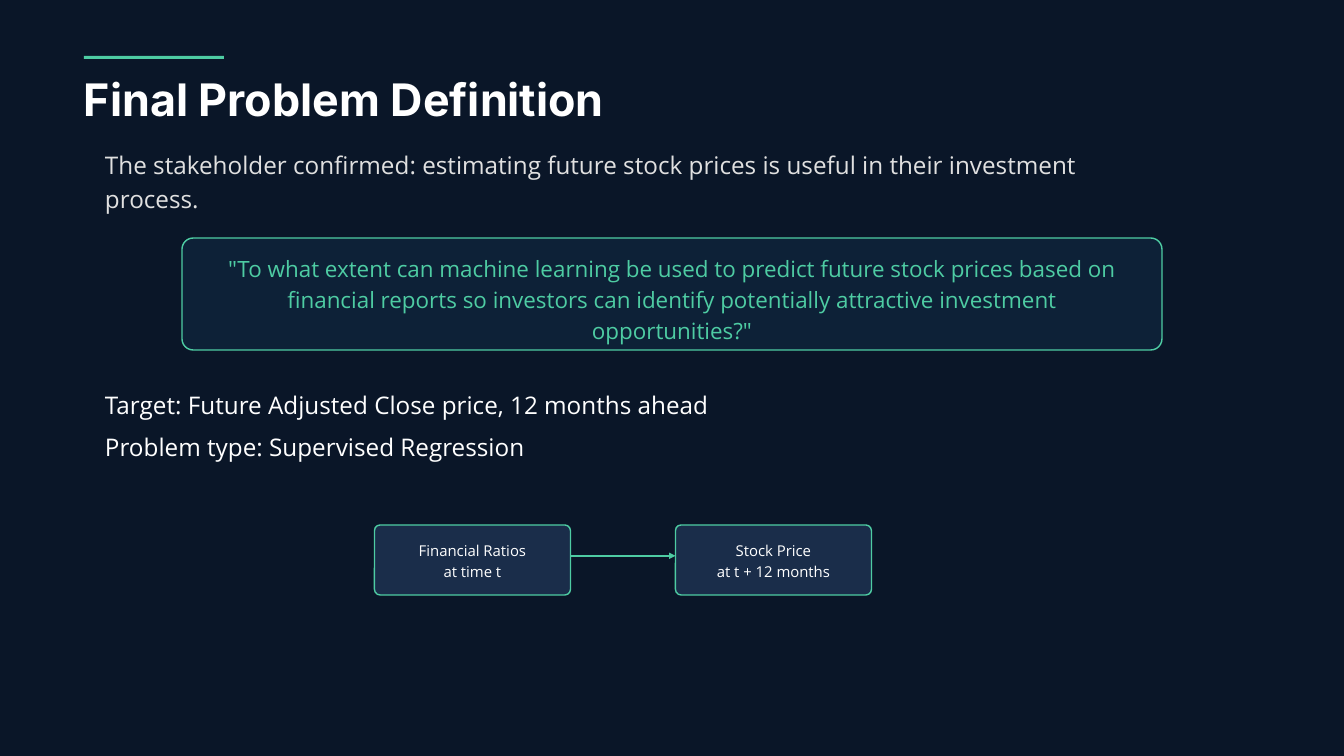
"""Build the slide that states the final problem definition."""
from dataclasses import dataclass

from lxml.etree import SubElement
from pptx import Presentation
from pptx.dml.color import RGBColor as RGB
from pptx.enum.shapes import MSO_CONNECTOR as Link, MSO_SHAPE as Form
from pptx.enum.text import MSO_ANCHOR as Anchor, MSO_AUTO_SIZE as Fit, PP_ALIGN as Align
from pptx.oxml.ns import qn
from pptx.shapes.autoshape import Shape
from pptx.slide import Slide
from pptx.text.text import TextFrame
from pptx.util import Emu, Pt

PX = 9525
LEAD = 1.4
NAVY = RGB(0x0A, 0x16, 0x28)
DEEP = RGB(0x0D, 0x21, 0x37)
STEEL = RGB(0x1A, 0x2D, 0x4A)
MINT = RGB(0x4E, 0xCC, 0xA3)
PALE = RGB(0xE0, 0xE0, 0xE0)
WHITE = RGB(0xFF, 0xFF, 0xFF)


@dataclass(frozen=True)
class Box:
    left: int
    top: int
    width: int
    height: int

    def emu(self) -> list[Emu]:
        return [px(n) for n in (self.left, self.top, self.width, self.height)]


@dataclass(frozen=True)
class Style:
    size: int
    color: RGB = WHITE
    face: str = "Open Sans"
    bold: bool = False
    align: Align = Align.LEFT


@dataclass(frozen=True)
class Card:
    box: Box
    text: str
    style: Style
    fill: RGB
    radius: int
    pad: tuple[int, int]
    anchor: Anchor


@dataclass(frozen=True)
class Label:
    box: Box
    text: str
    style: Style


TITLE = Style(48, face="Inter", bold=True)
INTRO = Style(26, PALE)
FACT = Style(26)
QUOTE = Style(24, MINT, align=Align.CENTER)
NODE = Style(16, align=Align.CENTER)

LABELS = [
    Label(Box(120, 90, 1680, 86), "Final Problem Definition", TITLE),
    Label(Box(150, 208, 1400, 95), "The stakeholder confirmed: estimating future stock "
          "prices is useful in their investment process.", INTRO),
    Label(Box(150, 551, 1400, 47), "Target: Future Adjusted Close price, 12 months ahead", FACT),
    Label(Box(150, 611, 1400, 47), "Problem type: Supervised Regression", FACT),
]
GOAL = Card(Box(260, 340, 1400, 160), '"To what extent can machine learning be used to predict '
            "future stock prices based on financial reports so investors can identify "
            'potentially attractive investment opportunities?"',
            QUOTE, DEEP, 16, (50, 13), Anchor.TOP)
NODES = [
    Card(Box(left, 750, 280, 100), text, NODE, STEEL, 8, (6, 6), Anchor.MIDDLE)
    for left, text in [(535, "Financial Ratios\nat time t"),
                       (965, "Stock Price\nat t + 12 months")]
]


def px(count: int) -> Emu:
    return Emu(count * PX)


def write(frame: TextFrame, text: str, style: Style, pad: tuple[int, int] = (0, 0)) -> None:
    frame.word_wrap = True
    frame.margin_left = frame.margin_right = px(pad[0])
    frame.margin_top = frame.margin_bottom = px(pad[1])
    frame.text = text
    for para in frame.paragraphs:
        para.alignment = style.align
        para.line_spacing = Pt(style.size * LEAD)
        font = para.font
        font.name, font.size, font.bold = style.face, Pt(style.size), style.bold
        font.color.rgb = style.color


def add_form(slide: Slide, form: Form, box: Box, fill: RGB) -> Shape:
    shape = slide.shapes.add_shape(form, *box.emu())
    shape.shadow.inherit = False
    shape.fill.solid()
    shape.fill.fore_color.rgb = fill
    shape.line.fill.background()
    return shape


def add_card(slide: Slide, card: Card) -> None:
    shape = add_form(slide, Form.ROUNDED_RECTANGLE, card.box, card.fill)
    shape.adjustments[0] = card.radius / card.box.height
    shape.line.color.rgb = MINT
    shape.line.width = Pt(1.5)
    write(shape.text_frame, card.text, card.style, card.pad)
    shape.text_frame.vertical_anchor = card.anchor


def add_label(slide: Slide, label: Label) -> None:
    frame = slide.shapes.add_textbox(*label.box.emu()).text_frame
    write(frame, label.text, label.style)
    frame.auto_size = Fit.SHAPE_TO_FIT_TEXT


def add_arrow(slide: Slide, start: Box, end: Box, level: int) -> None:
    left, right = start.left + start.width, end.left
    arrow = slide.shapes.add_connector(Link.STRAIGHT, px(left), px(level), px(right), px(level))
    arrow.line.color.rgb = MINT
    arrow.line.width = Pt(2.25)
    props = arrow.line._get_or_add_ln()
    SubElement(props, qn("a:tailEnd"), type="triangle")
    SubElement(props.getparent(), qn("a:effectLst"))


def main() -> None:
    deck = Presentation()
    deck.slide_width, deck.slide_height = px(1920), px(1080)
    slide = deck.slides.add_slide(deck.slide_layouts[6])
    back = slide.background.fill
    back.solid()
    back.fore_color.rgb = NAVY
    add_arrow(slide, NODES[0].box, NODES[1].box, 794)
    add_form(slide, Form.RECTANGLE, Box(120, 80, 200, 4), MINT)
    for label in LABELS:
        add_label(slide, label)
    for card in [GOAL, *NODES]:
        add_card(slide, card)
    deck.save("out.pptx")


if __name__ == "__main__":
    main()
